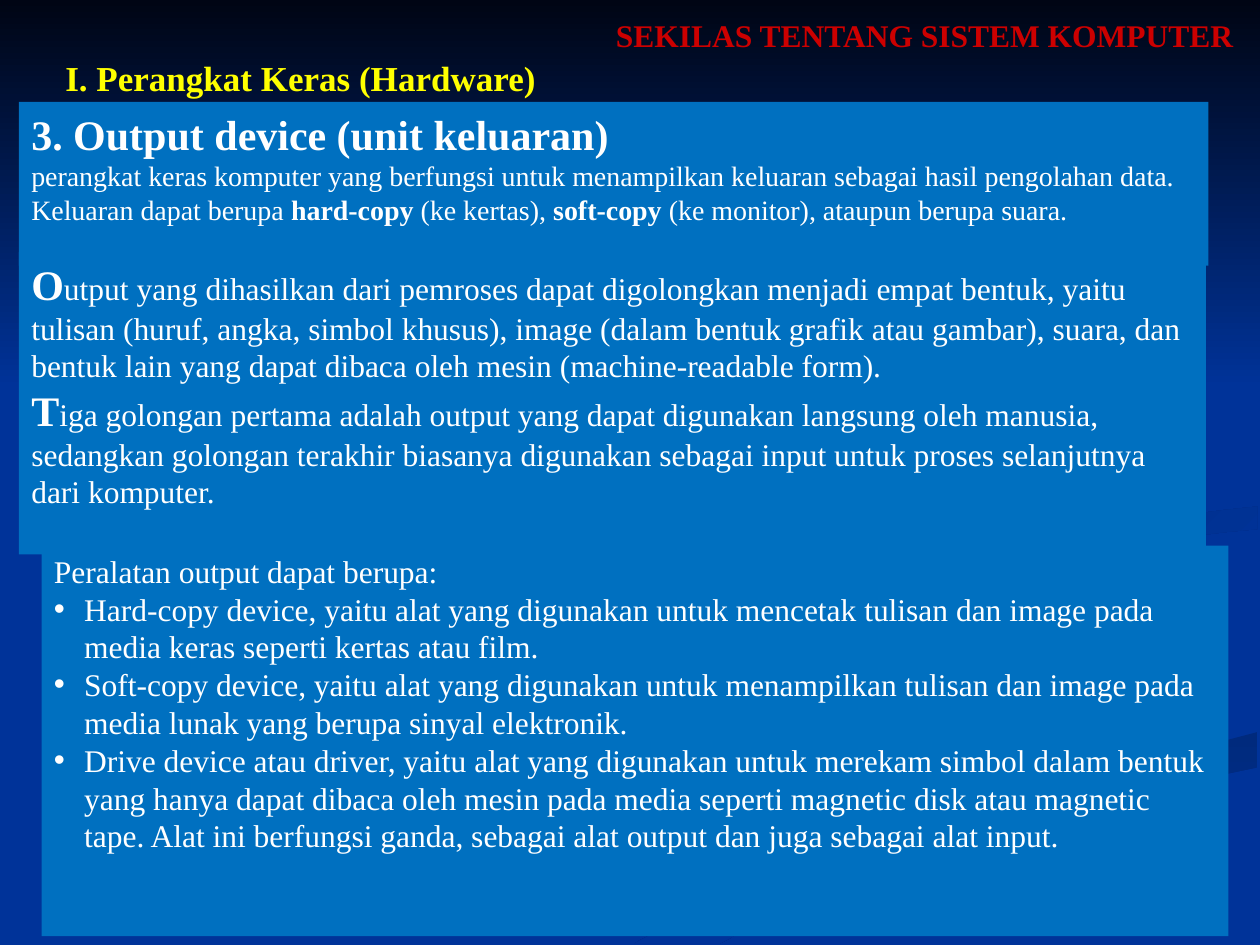
"""Build the slide on output devices from an introduction to computer systems."""
from dataclasses import dataclass

from lxml.etree import SubElement
from pptx import Presentation
from pptx.dml.color import RGBColor
from pptx.enum.shapes import MSO_SHAPE as Preset
from pptx.enum.text import MSO_ANCHOR as Anchor, PP_ALIGN as Align
from pptx.oxml.ns import qn
from pptx.util import Inches, Pt


@dataclass(frozen=True)
class Theme:
    font: str = "Times New Roman"
    background: RGBColor = RGBColor(0x00, 0x33, 0x99)
    night: RGBColor = RGBColor(0x00, 0x05, 0x14)
    band: RGBColor = RGBColor(0x00, 0x2A, 0x7D)
    curl: RGBColor = RGBColor(0x00, 0x2D, 0x86)
    panel: RGBColor = RGBColor(0x00, 0x70, 0xC0)
    white: RGBColor = RGBColor(0xFF, 0xFF, 0xFF)
    red: RGBColor = RGBColor(0xCC, 0x00, 0x00)
    yellow: RGBColor = RGBColor(0xFF, 0xFF, 0x00)
    lead: int = 24
    heading: int = 20
    body: int = 18
    small: int = 16


def sample_curve(start, bend, end, steps=12):
    points = []
    for step in range(steps + 1):
        t = step / steps
        weights = ((1 - t) ** 2, 2 * t * (1 - t), t ** 2)
        x, y = (sum(w * c for w, c in zip(weights, axis)) for axis in zip(start, bend, end))
        points.append((Inches(x), Inches(y)))
    return points


def write_paragraphs(shape, paragraphs, text_color):
    frame = shape.text_frame
    frame.word_wrap = True
    frame.vertical_anchor = Anchor.TOP
    for index, (bulleted, pieces) in enumerate(paragraphs):
        paragraph = frame.paragraphs[0] if index == 0 else frame.add_paragraph()
        paragraph.alignment = Align.LEFT
        if bulleted:
            properties = paragraph._p.get_or_add_pPr()
            properties.set("marL", str(Inches(0.24)))
            properties.set("indent", str(-Inches(0.24)))
            SubElement(properties, qn("a:buFont"), typeface="Arial")
            SubElement(properties, qn("a:buChar"), char="•")
        for text, size, bold in pieces:
            run = paragraph.add_run()
            run.text = text
            run.font.name = theme.font
            run.font.size = Pt(size)
            run.font.bold = bold
            run.font.color.rgb = text_color


theme = Theme()
presentation = Presentation()
presentation.slide_width = Inches(10)
presentation.slide_height = Inches(7.5)
slide = presentation.slides.add_slide(presentation.slide_layouts[6])
slide.background.fill.solid()
slide.background.fill.fore_color.rgb = theme.background

band_edges = [
    ((5.03, 7.49), (6.42, 6.73), (9.98, 5.81)),
    ((5.71, 7.49), (7.2, 6.65), (9.98, 6.09)),
]
curl_edges = [
    ((7.81, 4.6), (8.4, 4.17), (9.98, 4.02)),
    ((8.05, 4.72), (8.54, 4.32), (9.98, 4.2)),
]
backdrop = []
for (upper_edge, lower_edge), dark, angle in [
    (band_edges, theme.band, 270),
    (curl_edges, theme.curl, 315),
]:
    outline = sample_curve(*upper_edge) + sample_curve(*lower_edge)[::-1]
    builder = slide.shapes.build_freeform(*outline[0], scale=1.0)
    builder.add_line_segments(outline[1:], close=True)
    backdrop.append((builder.convert_to_shape(), dark, angle))

top_shade = slide.shapes.add_shape(Preset.RECTANGLE, 0, 0, presentation.slide_width, Inches(3.08))
backdrop.append((top_shade, theme.night, 270))

for shape, dark, angle in backdrop:
    shape.shadow.inherit = False
    shape.line.fill.background()
    shape.fill.gradient()
    shape.fill.gradient_angle = angle
    for stop, stop_color in zip(shape.fill.gradient_stops, (dark, theme.background)):
        stop.color.rgb = stop_color

title = [(False, [("SEKILAS TENTANG SISTEM KOMPUTER", theme.body, True)])]
section = [(False, [("I. Perangkat Keras (Hardware)", theme.heading, True)])]
definition = [
    (False, [("3. Output device (unit keluaran)", theme.lead, True)]),
    (False, [
        ("perangkat keras komputer yang berfungsi untuk menampilkan keluaran sebagai hasil "
         "pengolahan data. Keluaran dapat berupa ", theme.small, False),
        ("hard-copy ", theme.small, True),
        ("(ke kertas), ", theme.small, False),
        ("soft-copy ", theme.small, True),
        ("(ke monitor), ataupun berupa suara.", theme.small, False),
    ]),
]
output_forms = [
    (False, [(sentence[0], theme.lead, True), (sentence[1:], theme.body, False)])
    for sentence in [
        "Output yang dihasilkan dari pemroses dapat digolongkan menjadi empat bentuk, yaitu "
        "tulisan (huruf, angka, simbol khusus), image (dalam bentuk grafik atau gambar), "
        "suara, dan bentuk lain yang dapat dibaca oleh mesin (machine-readable form).",
        "Tiga golongan pertama adalah output yang dapat digunakan langsung oleh manusia, "
        "sedangkan golongan terakhir biasanya digunakan sebagai input untuk proses "
        "selanjutnya dari komputer.",
    ]
]
devices = [
    (bulleted, [(text, theme.body, False)])
    for bulleted, text in [
        (False, "Peralatan output dapat berupa:"),
        (True, "Hard-copy device, yaitu alat yang digunakan untuk mencetak tulisan dan image "
               "pada media keras seperti kertas atau film."),
        (True, "Soft-copy device, yaitu alat yang digunakan untuk menampilkan tulisan dan image "
               "pada media lunak yang berupa sinyal elektronik."),
        (True, "Drive device atau driver, yaitu alat yang digunakan untuk merekam simbol dalam "
               "bentuk yang hanya dapat dibaca oleh mesin pada media seperti magnetic disk atau "
               "magnetic tape. Alat ini berfungsi ganda, sebagai alat output dan juga sebagai "
               "alat input."),
    ]
]

for box, paragraphs in [
    ((0.15, 0.81, 9.44, 1.3), definition),
    ((0.15, 2, 9.42, 2.4), output_forms),
    ((0.33, 4.33, 9.42, 3.1), devices),
]:
    panel = slide.shapes.add_shape(Preset.RECTANGLE, *map(Inches, box))
    panel.shadow.inherit = False
    panel.fill.solid()
    panel.fill.fore_color.rgb = theme.panel
    panel.line.fill.background()
    write_paragraphs(panel, paragraphs, theme.white)

for box, paragraphs, text_color in [
    ((4.79, 0.08, 5.13, 0.7), title, theme.red),
    ((0.42, 0.4, 6.25, 0.44), section, theme.yellow),
]:
    heading = slide.shapes.add_textbox(*map(Inches, box))
    write_paragraphs(heading, paragraphs, text_color)

presentation.save("out.pptx")
